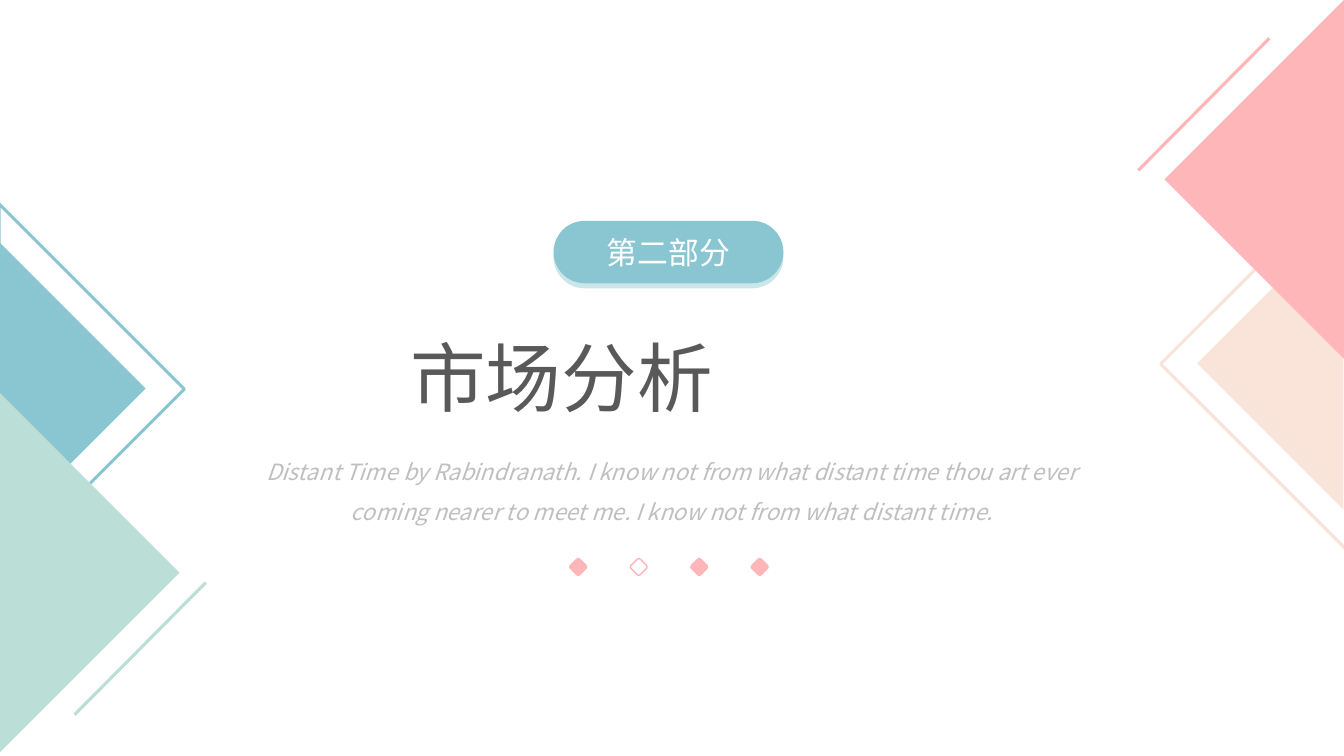
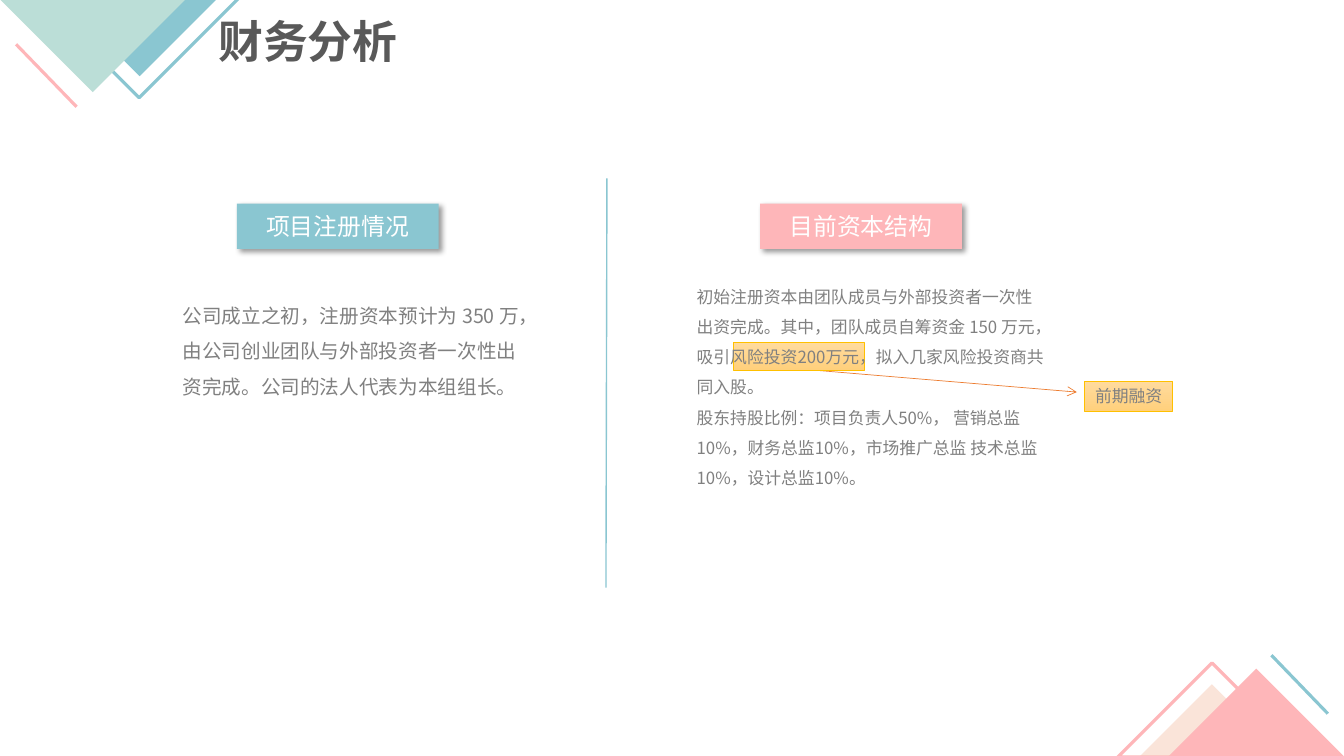
from lxml import etree
from pptx import Presentation
from pptx.dml.color import RGBColor
from pptx.enum.shapes import MSO_CONNECTOR, MSO_SHAPE
from pptx.enum.text import MSO_ANCHOR, MSO_AUTO_SIZE, PP_ALIGN
from pptx.oxml.ns import qn
from pptx.util import Inches, Pt

RECT, ROUND = MSO_SHAPE.RECTANGLE, MSO_SHAPE.ROUNDED_RECTANGLE
CORNER = MSO_SHAPE.RIGHT_TRIANGLE
LINE = MSO_CONNECTOR.STRAIGHT
LEFT, MID, JUST = PP_ALIGN.LEFT, PP_ALIGN.CENTER, PP_ALIGN.JUSTIFY
TOP, HALF = MSO_ANCHOR.TOP, MSO_ANCHOR.MIDDLE


class Theme:
    teal, mint, pink, peach = "8AC6D1", "BBDED7", "FEB6B9", "FAE4D9"
    pale, gold, orange = "CBE6EB", "FFC000", "ED7D31"
    glow = ("FFDB9E", "FFD07C")
    white, dark, grey, light, black = "FFFFFF", "595959", "808080", "BFBFBF", "000000"
    sans, wide = "Noto Sans CJK SC", "Noto Sans CJK JP"
    thick, thin, hair = 2.25, 1, 0.5
    styles = {
        "cover": dict(size=54, name=wide, color=dark, align=JUST),
        "pill": dict(size=22, color=white, align=MID),
        "quote": dict(size=16, color=light, align=MID, italic=True, spacing=1.5),
        "title": dict(size=32, color=dark, align=MID, bold=True),
        "button": dict(size=17, color=white, align=MID),
        "body": dict(size=14, color=grey, spacing=1.5),
        "small": dict(size=12, color=grey, spacing=1.5),
        "tag": dict(size=12, color=grey, align=MID),
    }


T = Theme

COVER = {
    "title": "市场分析",
    "part": "第二部分",
    "quote": "Distant Time by Rabindranath. I know not from what distant time thou art ever "
             "coming nearer to meet me. I know not from what distant time.",
    "dots": [True, False, True, True],
}
FINANCE = {
    "title": "财务分析",
    "tag": "前期融资",
    "columns": [
        dict(head="项目注册情况", color=T.teal, left=2.35, style="body",
             box=(1.71, 2.85, 3.69, 1.16),
             text=["公司成⽴之初，注册资本预计为 350 万，由公司创业团队与外部投资者一次性"
                   "出资完成。公司的法人代表为本组组长。"]),
        dict(head="目前资本结构", color=T.pink, left=7.54, style="small",
             box=(6.81, 2.69, 3.69, 2.22),
             text=["初始注册资本由团队成员与外部投资者一次性出资完成。其中，团队成员自筹资金 "
                   "150 万元，吸引风险投资200万元，拟入几家风险投资商共同入股。",
                   "股东持股比例：项目负责人50%， 营销总监10%，财务总监10%，"
                   "市场推广总监 技术总监10%，设计总监10%。"]),
    ],
}

# Each cluster: turn, triangles (left, top, side, colour, filled), stroke (from, to, colour)
COVER_ART = [
    (225, [(-1.03, 2.83, 2.05, T.teal, True), (-1.31, 2.56, 2.6, T.teal, False),
           (-1.31, 4.4, 2.56, T.mint, True)],
     ((0.74, 7.09), (2.04, 5.78), T.mint)),
    (45, [(12.3, 2.58, 2.05, T.peach, True), (12.05, 2.31, 2.6, T.peach, False),
          (12.08, 0.5, 2.56, T.pink, True)],
     ((12.59, 0.38), (11.29, 1.69), T.pink)),
]
PAGE_ART = [
    (135, [(11.51, 7, 1.02, T.peach, True), (11.84, 6.89, 1.24, T.pink, True),
           (11.36, 6.85, 1.32, T.pink, False)],
     ((12.61, 6.5), (13.17, 7.08), T.teal)),
    (315, [(0.68, -0.72, 1.4, T.teal, False), (0.84, -0.56, 1.09, T.teal, True),
           (0.26, -0.68, 1.32, T.mint, True)],
     ((0.76, 1.06), (0.16, 0.44), T.pink)),
]


def rgb(code):
    return RGBColor.from_string(code)


def add(node, tag, **attrs):
    return etree.SubElement(node, qn(tag), attrs)


def draw(home, kind, box, fill=None, line=None, width=T.thin, turn=0):
    """Add a preset shape; fill is a colour, a pair for a gradient, or None."""
    shape = home.add_shape(kind, *map(Inches, box))
    shape.shadow.inherit = False
    shape.rotation = turn
    if fill is None:
        shape.fill.background()
    elif isinstance(fill, tuple):
        shape.fill.gradient()
        shape.fill.gradient_angle = 270
        for stop, code in zip(shape.fill.gradient_stops, fill):
            stop.color.rgb = rgb(code)
    else:
        shape.fill.solid()
        shape.fill.fore_color.rgb = rgb(fill)
    if line:
        shape.line.color.rgb = rgb(line)
        shape.line.width = Pt(width)
    else:
        shape.line.fill.background()
    return shape


def stroke(home, start, end, color, width=T.thick, arrow=False):
    line = home.add_connector(LINE, *map(Inches, start + end))
    line.line.color.rgb = rgb(color)
    line.line.width = Pt(width)
    if arrow:
        add(line.line._get_or_add_ln(), "a:tailEnd", type="arrow")
    add(line._element.spPr, "a:effectLst")


def cast(shape):
    """Give a shape a soft shadow to its lower right."""
    effects = shape._element.spPr.find(qn("a:effectLst"))
    shade = add(effects, "a:outerShdw", blurRad=str(Pt(4)), dist=str(Pt(3)),
                dir="2700000", algn="tl", rotWithShape="0")
    add(add(shade, "a:srgbClr", val=T.black), "a:alpha", val="40000")


def write(shape, texts, style, anchor=TOP, pad=(0.1, 0.05)):
    look = {"name": T.sans, "bold": False, "italic": False, **T.styles[style]}
    color = look.pop("color")
    para_look = {"alignment": look.pop("align", LEFT),
                 "line_spacing": look.pop("spacing", 1.0),
                 "space_before": Pt(0), "space_after": Pt(0)}
    look["size"] = Pt(look["size"])
    side, edge = map(Inches, pad)
    frame = shape.text_frame
    for key, val in dict(word_wrap=True, auto_size=MSO_AUTO_SIZE.NONE,
                         vertical_anchor=anchor, margin_left=side, margin_right=side,
                         margin_top=edge, margin_bottom=edge).items():
        setattr(frame, key, val)
    for i, text in enumerate(texts):
        para = frame.add_paragraph() if i else frame.paragraphs[0]
        props = para._p.get_or_add_pPr()
        for key, val in dict(marL="0", indent="0", hangingPunct="1").items():
            props.set(key, val)
        add(props, "a:buNone")
        for key, val in para_look.items():
            setattr(para, key, val)
        run = para.add_run()
        run.text = text
        for key, val in look.items():
            setattr(run.font, key, val)
        run.font.color.rgb = rgb(color)
        mark = run._r.get_or_add_rPr()
        mark.set("lang", "zh-CN")
        add(mark, "a:ea", typeface=look["name"])


def place(slide, holder, box, texts, style):
    """Move a placeholder to the front and fill it."""
    slide.shapes._spTree.append(holder._element)
    for key, val in zip(("left", "top", "width", "height"), box):
        setattr(holder, key, Inches(val))
    write(holder, texts, style)


def adorn(slide, art):
    for turn, parts, (start, end, tint) in art:
        group = slide.shapes.add_group_shape().shapes
        for left, top, side, color, full in parts:
            look = dict(fill=color) if full else dict(line=color, width=T.thick)
            draw(group, CORNER, (left, top, side, side), turn=turn, **look)
        stroke(group, start, end, tint)


def cover(deck):
    slide = deck.slides.add_slide(deck.slide_layouts[0])
    adorn(slide, COVER_ART)
    for top, color in ((2.24, T.pale), (2.19, T.teal)):
        pill = draw(slide.shapes, ROUND, (5.49, top, 2.28, 0.62), color)
        pill.adjustments[0] = 0.5
    write(pill, [COVER["part"]], "pill", HALF, (0, 0))
    place(slide, slide.shapes.title, (3.97, 3.23, 5.32, 1.01), [COVER["title"]], "cover")
    place(slide, slide.placeholders[1], (2.44, 4.36, 8.45, 0.87), [COVER["quote"]], "quote")
    dots = slide.shapes.add_group_shape().shapes
    for i, full in enumerate(COVER["dots"]):
        draw(dots, ROUND, (5.67 + 0.6 * i, 5.56, 0.13, 0.13),
             T.pink if full else None, T.pink, turn=45)


def finance(deck):
    slide = deck.slides.add_slide(deck.slide_layouts[3])
    shapes = slide.shapes
    stroke(shapes, (7.57, 3.63), (10.68, 3.89), T.orange, T.hair, arrow=True)
    draw(shapes, RECT, (7.27, 3.4, 1.3, 0.27), T.glow, T.gold, T.hair)
    adorn(slide, PAGE_ART)
    for i, col in enumerate(FINANCE["columns"], 1):
        button = draw(shapes, RECT, (col["left"], 2.02, 2, 0.45), col["color"])
        cast(button)
        write(button, [col["head"]], "button", HALF, (0, 0))
        place(slide, slide.placeholders[i], col["box"], col["text"], col["style"])
    stroke(shapes, (6.02, 1.77), (6.01, 5.83), T.teal, T.thin)
    tag = draw(shapes, RECT, (10.76, 3.78, 0.87, 0.3), T.glow, T.gold, T.hair)
    write(tag, [FINANCE["tag"]], "tag", HALF, (0, 0))
    place(slide, shapes.title, (2, 0.09, 2.11, 0.64), [FINANCE["title"]], "title")


def main():
    deck = Presentation()
    deck.slide_width, deck.slide_height = Inches(13.33), Inches(7.5)
    cover(deck)
    finance(deck)
    deck.save("out.pptx")


if __name__ == "__main__":
    main()
